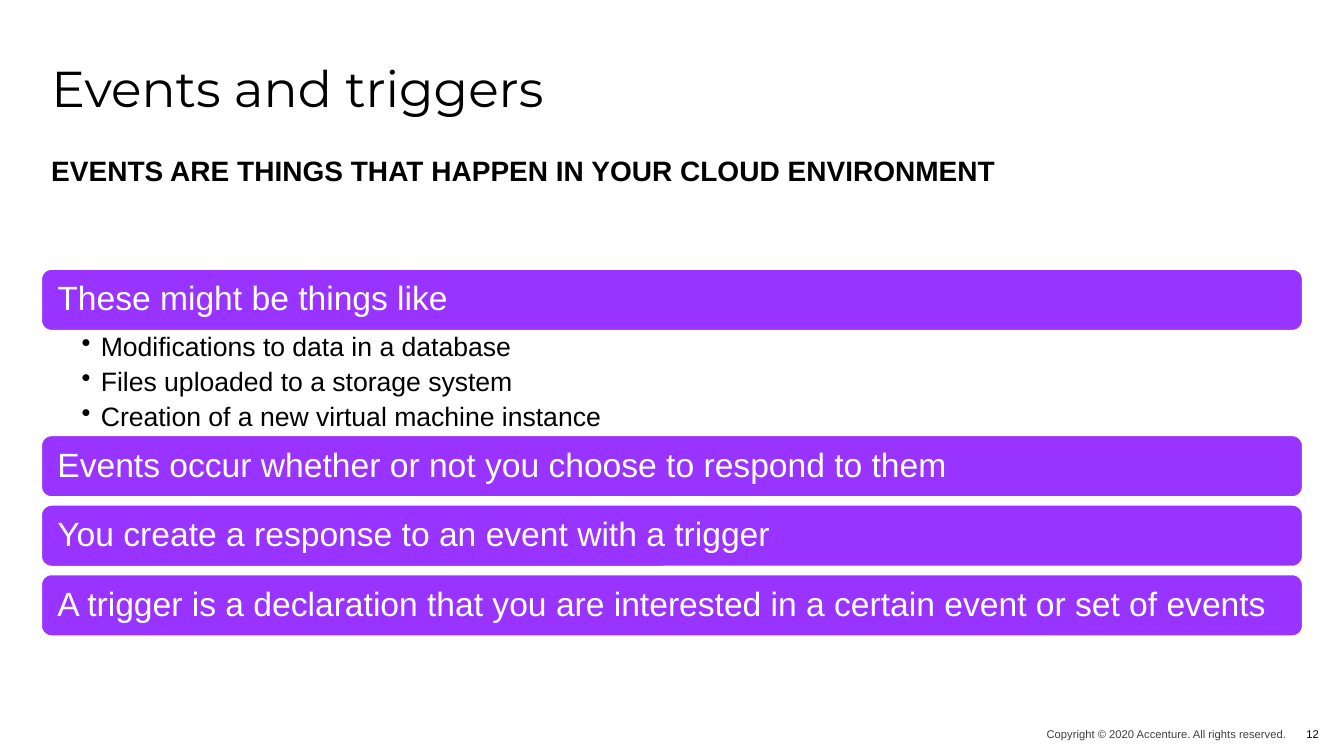
"""Build the slide that explains cloud events and triggers."""
from dataclasses import dataclass

import lxml.etree
import pptx
import pptx.dml.color
import pptx.enum.shapes
import pptx.enum.text
import pptx.oxml.ns
import pptx.util

Inches = pptx.util.Inches
Pt = pptx.util.Pt
ALIGN = pptx.enum.text.PP_ALIGN
ANCHOR = pptx.enum.text.MSO_ANCHOR
COLORS = {"purple": "9933FF", "white": "FFFFFF", "black": "000000", "gray": "404040"}
LEFT, WIDTH, BAR_H, BAR_STEP = 0.41, 12.51, 0.61, 0.69


@dataclass(frozen=True)
class Style:
    """Text formatting of one kind of element."""
    size: float
    color: str = "black"
    font: str = "Arial"
    bold: bool = False
    align: ALIGN = ALIGN.LEFT
    anchor: ANCHOR = ANCHOR.MIDDLE
    spacing: float = 1.0
    after: float = 0
    insets: tuple[float, float, float, float] = (0, 0, 0, 0)
    margin: float = 0
    bullet: bool = False


@dataclass(frozen=True)
class Block:
    """A text box and its paragraphs."""
    box: tuple[float, float, float, float]
    lines: tuple[str, ...]
    style: Style


TITLE = Style(36, font="Montserrat", spacing=0.7, insets=(0, 0.05, 0, 0), margin=0.09)
SUBTITLE = Style(20, bold=True, spacing=0.85, insets=(0.1, 0.05, 0.1, 0.05))
BAR = Style(24, "white", spacing=0.9, insets=(0.13, 0.1, 0.1, 0.1))
BULLETS = Style(19, anchor=ANCHOR.TOP, spacing=0.9, after=4.4,
                insets=(0.4, 0.03, 0.19, 0.03), margin=0.19, bullet=True)
COPYRIGHT = Style(8, "gray", align=ALIGN.RIGHT, after=12)
NUMBER = Style(8, align=ALIGN.CENTER, after=12)

BLOCKS = (
    Block((LEFT, 1.5, WIDTH, 0.43),
          ("EVENTS ARE THINGS THAT HAPPEN IN YOUR CLOUD ENVIRONMENT",), SUBTITLE),
    Block((LEFT, 3.28, WIDTH, 1.03),
          ("Modifications to data in a database",
           "Files uploaded to a storage system",
           "Creation of a new virtual machine instance"), BULLETS),
    Block((9.36, 7.17, 3.4, 0.22),
          ("Copyright © 2020 Accenture. All rights reserved.",), COPYRIGHT),
    Block((12.81, 7.17, 0.42, 0.23), ("12",), NUMBER),
)
HEADING = "These might be things like"
POINTS = (
    "Events occur whether or not you choose to respond to them",
    "You create a response to an event with a trigger",
    "A trigger is a declaration that you are interested in a certain event or set of events",
)


def rgb(name: str) -> pptx.dml.color.RGBColor:
    """Return a named color."""
    return pptx.dml.color.RGBColor.from_string(COLORS[name])


def apply(target: object, values: dict[str, object]) -> None:
    """Set every attribute in the dict on the target."""
    for name, value in values.items():
        setattr(target, name, value)


def write(tf: pptx.text.text.TextFrame, lines: tuple[str, ...], style: Style) -> None:
    """Fill a text frame with styled paragraphs."""
    left, top, right, bottom = map(Inches, style.insets)
    apply(tf, {"word_wrap": True, "auto_size": pptx.enum.text.MSO_AUTO_SIZE.NONE,
               "vertical_anchor": style.anchor, "margin_left": left, "margin_top": top,
               "margin_right": right, "margin_bottom": bottom})
    for i, line in enumerate(lines):
        p = tf.paragraphs[0] if i == 0 else tf.add_paragraph()
        apply(p, {"alignment": style.align, "line_spacing": style.spacing,
                  "space_before": Pt(0), "space_after": Pt(style.after)})
        props = p._p.get_or_add_pPr()
        props.set("marL", str(Inches(style.margin)))
        if style.bullet:
            props.set("indent", str(-Inches(style.margin)))
            bu = lxml.etree.SubElement(props, pptx.oxml.ns.qn("a:buChar"))
            bu.set("char", "•")
        r = p.add_run()
        r.text = line
        apply(r.font, {"size": Pt(style.size), "name": style.font, "bold": style.bold})
        r.font.color.rgb = rgb(style.color)


def add_bar(s: pptx.slide.Slide, top: float, text: str) -> None:
    """Add a rounded purple bar with its text."""
    sp = s.shapes.add_shape(pptx.enum.shapes.MSO_SHAPE.ROUNDED_RECTANGLE,
                            *map(Inches, (LEFT, top, WIDTH, BAR_H)))
    sp.shadow.inherit = False
    sp.fill.solid()
    sp.fill.fore_color.rgb = rgb("purple")
    sp.line.color.rgb = rgb("white")
    sp.line.width = Pt(1)
    write(sp.text_frame, (text,), BAR)


def main() -> None:
    """Create the presentation and save it."""
    prs = pptx.Presentation()
    apply(prs, {"slide_width": Inches(13.33), "slide_height": Inches(7.5)})
    s = prs.slides.add_slide(prs.slide_layouts[5])
    apply(s.shapes.title, {"left": Inches(0.42), "top": Inches(0.38),
                           "width": Inches(12.5), "height": Inches(1.08)})
    write(s.shapes.title.text_frame, ("Events and triggers",), TITLE)
    for block in BLOCKS:
        sp = s.shapes.add_textbox(*map(Inches, block.box))
        write(sp.text_frame, block.lines, block.style)
    add_bar(s, 2.67, HEADING)
    for i, point in enumerate(POINTS):
        add_bar(s, 4.32 + i * BAR_STEP, point)
    prs.save("out.pptx")


if __name__ == "__main__":
    main()
